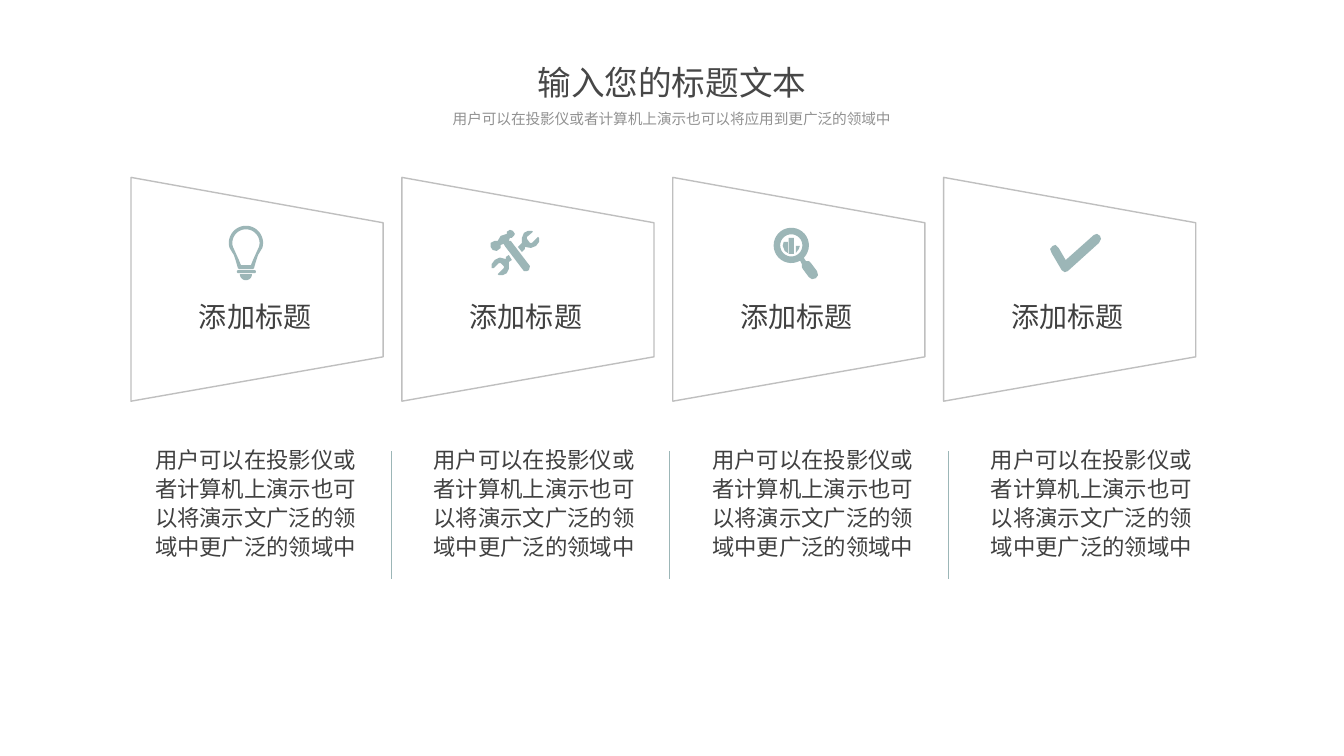
from math import cos, radians, sin

from pptx import Presentation
from pptx.dml.color import RGBColor
from pptx.enum.shapes import MSO_CONNECTOR
from pptx.enum.text import MSO_AUTO_SIZE, PP_ALIGN
from pptx.oxml.ns import qn
from pptx.util import Inches, Pt


def arc(center_x, center_y, radius, start, end):
    """Points on an arc; degrees run clockwise from the right."""
    steps = 32
    angles = [radians(start + (end - start) * i / steps) for i in range(steps + 1)]
    return [(center_x + radius * cos(a), center_y + radius * sin(a)) for a in angles]


TITLE = "输入您的标题文本"
SUBTITLE = "用户可以在投影仪或者计算机上演示也可以将应用到更广泛的领域中"
LABELS = ["添加标题"] * 4
BODIES = ["用户可以在投影仪或者计算机上演示也可以将演示文广泛的领域中更广泛的领域中"] * 4

FONT = "Noto Sans CJK SC"
DARK, TITLE_GRAY, SUBTITLE_GRAY = "404040", "474747", "929292"
WHITE, OUTLINE, ACCENT = "FFFFFF", "BFBFBF", "9CB6B7"

# Icon contours in hundredths of an inch from the icon's top left corner
BULB = [
    arc(17, 17, 17, 163, 377)
    + [(29, 29), (27, 35), (25, 42), (24, 43), (10, 43), (9, 42), (7, 35), (5, 29)],
    arc(17, 17, 13.5, 163, 377) + [(24, 34), (22, 39), (12, 39), (10, 34)],
    arc(9.5, 45.5, 1.5, 90, 270) + arc(25.5, 45.5, 1.5, -90, 90),
    arc(17, 48, 6, 0, 180),
]
TOOLS = [
    [(16, 27), (16, 29), (10, 27.5), (5, 30), (2, 34), (2, 38), (4, 38), (9, 33),
     (11, 33), (14, 36), (14, 38), (8, 44), (9, 45), (13, 45), (17, 43), (19, 39),
     (19, 32), (22, 30), (19, 25)],
    [(21, 11), (19, 11), (20, 8), (22, 8), (24, 6), (25, 4), (23, 1), (20, 0),
     (17, 2), (17, 4), (11, 6), (8, 11), (5, 11), (1, 13), (1, 17), (3, 20),
     (7, 21), (11, 18), (11, 15), (14, 14), (15, 16), (34, 41), (37, 41),
     (39, 40), (40, 36)],
    [(49, 8), (48, 7), (42, 13), (40, 13), (37, 9), (37, 7), (43, 2), (42, 1),
     (38, 1), (34, 3), (32, 8), (32, 13), (28, 17), (32, 22), (35, 19), (35, 17),
     (41, 18), (46, 16), (49, 12)],
]
MAGNIFIER = [
    arc(19.5, 19.5, 17.5, 60, 405)
    + [(34, 35), (37, 35), (39, 37), (45, 45), (46, 49), (44, 52), (40, 53),
       (37, 51), (31, 43), (30, 41), (30, 38), (29, 36)],
    arc(19.5, 19.5, 11, 0, 360),
    [(12, 16), (16, 16), (16, 27), (13, 25), (11, 20)],
    [(17, 12), (22, 12), (22, 28), (17, 28)],
    [(24, 20), (28, 20), (27, 23), (24, 27)],
]
CHECK = [
    [(12, 37), (2, 20), (0.5, 16), (3, 13), (6, 12), (9, 15), (16, 27), (44, 2),
     (47, 1), (50, 3), (51, 6), (49, 10), (18, 38), (15, 39)],
]
# Contours, offset from the panel's left edge, top
ICONS = [(BULB, 0.97, 2.24), (TOOLS, 0.87, 2.28), (MAGNIFIER, 0.98, 2.24), (CHECK, 1.05, 2.31)]

PANEL_LEFT, PANEL_PITCH = 1.3, 8.06 / 3
PANEL = [[(0, 222), (0, 0), (250, 45), (250, 178)]]
PANEL_TOP, LABEL_TOP, LABEL_OFFSET = 1.76, 2.9, 0.57
BODY_LEFT, BODY_PITCH, BODY_TOP = 1.33, 8.29 / 3, 4.36
DIVIDER_OFFSET, DIVIDER_TOP, DIVIDER_BOTTOM = 2.55, 4.47, 5.74


def color(hex_text):
    return RGBColor.from_string(hex_text)


def add_outline(slide, contours, left, top, fill, line=None):
    """Closed contours in hundredths of an inch, drawn as one shape."""
    placed = [[(Inches(left + x / 100), Inches(top + y / 100)) for x, y in contour]
              for contour in contours]
    builder = slide.shapes.build_freeform(*placed[0][0])
    for number, contour in enumerate(placed):
        if number:
            builder.move_to(*contour[0])
        builder.add_line_segments(contour[1:], close=True)
    shape = builder.convert_to_shape()
    shape.shadow.inherit = False
    shape.fill.solid()
    shape.fill.fore_color.rgb = color(fill)
    if line:
        shape.line.color.rgb = color(line)
        shape.line.width = Pt(1)
    else:
        shape.line.fill.background()


def add_text(slide, text, box, size, text_color, spacing=1.08, wrap=True, insets=(0.1, 0.05)):
    frame = slide.shapes.add_textbox(*map(Inches, box)).text_frame
    frame.word_wrap = wrap
    frame.auto_size = MSO_AUTO_SIZE.SHAPE_TO_FIT_TEXT
    frame.margin_left = frame.margin_right = Inches(insets[0])
    frame.margin_top = frame.margin_bottom = Inches(insets[1])
    frame.text = text
    paragraph = frame.paragraphs[0]
    paragraph.alignment = PP_ALIGN.CENTER
    paragraph.line_spacing = spacing
    font = paragraph.runs[0].font
    font.size = Pt(size)
    font.name = FONT
    font.color.rgb = color(text_color)
    east_asian = font._element.makeelement(qn("a:ea"), {"typeface": FONT})
    font._element.find(qn("a:latin")).addnext(east_asian)


def add_divider(slide, x):
    divider = slide.shapes.add_connector(
        MSO_CONNECTOR.STRAIGHT, *map(Inches, (x, DIVIDER_BOTTOM, x, DIVIDER_TOP)))
    divider.line.color.rgb = color(ACCENT)
    divider.line.width = Pt(0.5)
    properties = divider._element.spPr
    properties.append(properties.makeelement(qn("a:effectLst"), {}))


def main():
    presentation = Presentation()
    presentation.slide_width = Inches(13.33)
    presentation.slide_height = Inches(7.5)
    slide = presentation.slides.add_slide(presentation.slide_layouts[6])

    add_text(slide, TITLE, (5.23, 0.57, 2.87, 0.5), 24, TITLE_GRAY, spacing=1.0)
    add_text(slide, SUBTITLE, (2.85, 1.05, 7.63, 0.23), 10.5, SUBTITLE_GRAY,
             insets=(0.05, 0.03))

    for column, (label, body, icon) in enumerate(zip(LABELS, BODIES, ICONS)):
        panel_left = PANEL_LEFT + column * PANEL_PITCH
        body_left = BODY_LEFT + column * BODY_PITCH
        contours, icon_offset, icon_top = icon
        add_outline(slide, PANEL, panel_left, PANEL_TOP, WHITE, OUTLINE)
        add_outline(slide, contours, panel_left + icon_offset, icon_top, ACCENT)
        add_text(slide, label, (panel_left + LABEL_OFFSET, LABEL_TOP, 1.32, 0.45), 20, DARK,
                 wrap=False)
        add_text(slide, body, (body_left, BODY_TOP, 2.41, 1.25), 16, DARK)
        if column < len(LABELS) - 1:
            add_divider(slide, body_left + DIVIDER_OFFSET)

    presentation.save("out.pptx")


if __name__ == "__main__":
    main()
